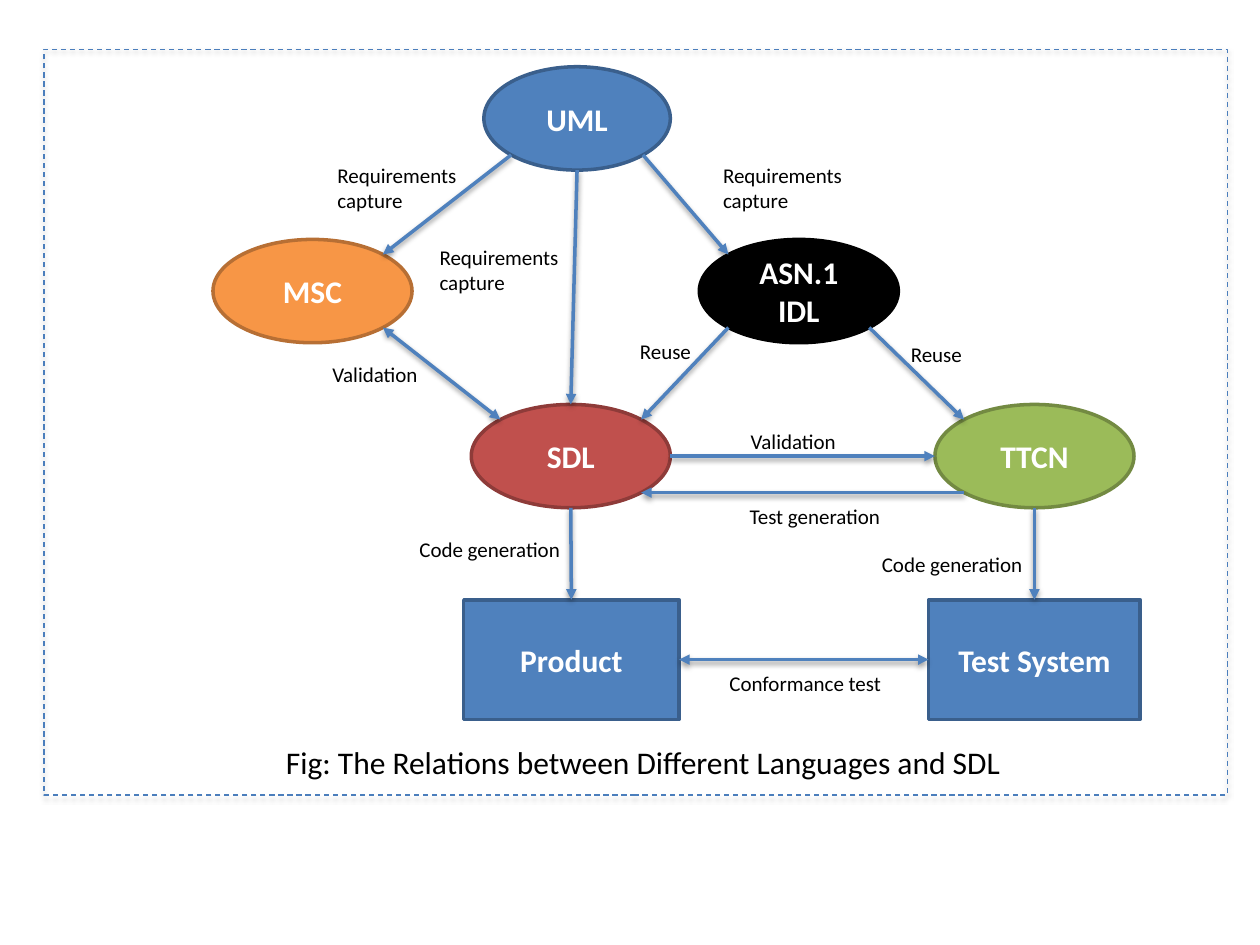
"""Build a slide showing how modelling and testing languages relate to SDL."""
import math

import lxml.etree
import pptx
import pptx.dml.color
import pptx.enum.dml
import pptx.enum.shapes
import pptx.enum.text
import pptx.oxml.ns
import pptx.util

Inches = pptx.util.Inches
Pt = pptx.util.Pt
RGBColor = pptx.dml.color.RGBColor
Shape = pptx.enum.shapes.MSO_SHAPE
Align = pptx.enum.text.PP_ALIGN
qn = pptx.oxml.ns.qn

BLUE = RGBColor(0x4F, 0x81, 0xBD)
BLUE_EDGE = RGBColor(0x3A, 0x5F, 0x8C)
FRAME_BLUE = RGBColor(0x4B, 0x7E, 0xBC)
ORANGE = RGBColor(0xF7, 0x96, 0x46)
ORANGE_EDGE = RGBColor(0xB7, 0x6F, 0x34)
RED = RGBColor(0xC0, 0x50, 0x4D)
RED_EDGE = RGBColor(0x8E, 0x3B, 0x39)
GREEN = RGBColor(0x9B, 0xBB, 0x59)
GREEN_EDGE = RGBColor(0x73, 0x8A, 0x42)
BLACK = RGBColor(0, 0, 0)
WHITE = RGBColor(0xFF, 0xFF, 0xFF)

LANGUAGES = {
    "UML": ("UML", 3.84, 0.53, 1.48, BLUE, BLUE_EDGE),
    "ASN.1": ("ASN.1\nIDL", 5.55, 1.9, 1.58, BLACK, BLACK),
    "MSC": ("MSC", 1.69, 1.9, 1.58, ORANGE, ORANGE_EDGE),
    "SDL": ("SDL", 3.74, 3.21, 1.58, RED, RED_EDGE),
    "TTCN": ("TTCN", 7.42, 3.21, 1.58, GREEN, GREEN_EDGE),
}
SYSTEMS = {"Product": (3.68, 1.71), "Test System": (7.37, 1.68)}

TOP, BOTTOM, LEFT, RIGHT = (0, -1), (0, 1), (-1, 0), (1, 0)
TOP_LEFT, TOP_RIGHT, BOTTOM_LEFT, BOTTOM_RIGHT = (-1, -1), (1, -1), (-1, 1), (1, 1)

RELATIONS = [
    ("UML", BOTTOM_LEFT, "MSC", TOP_RIGHT, False),
    ("UML", BOTTOM_RIGHT, "ASN.1", TOP_LEFT, False),
    ("UML", BOTTOM, "SDL", TOP, False),
    ("MSC", BOTTOM_RIGHT, "SDL", TOP_LEFT, True),
    ("ASN.1", BOTTOM_LEFT, "SDL", TOP_RIGHT, False),
    ("ASN.1", BOTTOM_RIGHT, "TTCN", TOP_LEFT, False),
    ("SDL", RIGHT, "TTCN", LEFT, False),
    ("TTCN", BOTTOM_LEFT, "SDL", BOTTOM_RIGHT, False),
    ("TTCN", BOTTOM, "Test System", TOP, False),
    ("Product", RIGHT, "Test System", LEFT, True),
    ("SDL", BOTTOM, "Product", TOP, False),
]

RELATION_LABELS = [
    ("Requirements capture", 2.58, 1.24, 0.5),
    ("Requirements capture", 5.64, 1.24, 0.5),
    ("Requirements capture", 3.39, 1.89, 0.5),
    ("Validation", 2.54, 2.82, 0.3),
    ("Reuse", 4.98, 2.64, 0.3),
    ("Reuse", 7.13, 2.66, 0.3),
    ("Validation", 5.86, 3.35, 0.3),
    ("Test generation", 5.85, 3.95, 0.3),
    ("Code generation", 6.9, 4.33, 0.3),
    ("Conformance test", 5.69, 5.27, 0.3),
    ("Code generation", 3.23, 4.21, 0.3),
]


def write(frame, text, *, size, color, font, bold=False, align=Align.LEFT):
    frame.word_wrap = True
    frame.text = text
    for paragraph in frame.paragraphs:
        paragraph.alignment = align
        paragraph.font.name = font
        paragraph.font.size = Pt(size)
        paragraph.font.bold = bold
        paragraph.font.color.rgb = color


def cast_shadow(element, distance, opacity):
    effects = lxml.etree.SubElement(element.spPr, qn("a:effectLst"))
    shadow = lxml.etree.SubElement(
        effects, qn("a:outerShdw"), blurRad=str(Pt(3.1)), dist=str(Pt(distance)),
        dir="5400000", rotWithShape="0")
    tint = lxml.etree.SubElement(shadow, qn("a:srgbClr"), val=str(BLACK))
    lxml.etree.SubElement(tint, qn("a:alpha"), val=str(opacity * 1000))


def edge_point(node, side):
    dx, dy = side
    reach = 1 / math.hypot(dx, dy)
    return (round(node.left + node.width / 2 * (1 + dx * reach)),
            round(node.top + node.height / 2 * (1 + dy * reach)))


class Diagram:
    font = "Calibri"
    line_width = Pt(2)

    def __init__(self, slide):
        self.slide = slide

    def node(self, kind, text, left, top, width, height, fill, edge):
        node = self.slide.shapes.add_shape(
            kind, Inches(left), Inches(top), Inches(width), Inches(height))
        node.shadow.inherit = False
        node.fill.solid()
        node.fill.fore_color.rgb = fill
        node.line.color.rgb = edge
        node.line.width = self.line_width
        node.text_frame.vertical_anchor = pptx.enum.text.MSO_ANCHOR.MIDDLE
        write(node.text_frame, text, size=18, color=WHITE, font=self.font,
              bold=True, align=Align.CENTER)
        return node

    def arrow(self, start, end, both_ways):
        arrow = self.slide.shapes.add_connector(
            pptx.enum.shapes.MSO_CONNECTOR.STRAIGHT, *start, *end)
        arrow.line.color.rgb = BLUE
        arrow.line.width = self.line_width
        outline = arrow.element.spPr.find(qn("a:ln"))
        for tip in ("a:headEnd", "a:tailEnd") if both_ways else ("a:tailEnd",):
            lxml.etree.SubElement(outline, qn(tip), type="triangle")
        cast_shadow(arrow.element, 1.6, 38)

    def label(self, text, left, top, width, height, size=12, align=Align.LEFT):
        label = self.slide.shapes.add_textbox(
            Inches(left), Inches(top), Inches(width), Inches(height))
        write(label.text_frame, text, size=size, color=BLACK, font=self.font, align=align)
        label.text_frame.auto_size = pptx.enum.text.MSO_AUTO_SIZE.SHAPE_TO_FIT_TEXT

    def frame(self, left, top, width, height):
        frame = self.slide.shapes.add_shape(
            Shape.RECTANGLE, Inches(left), Inches(top), Inches(width), Inches(height))
        frame.fill.background()
        frame.line.color.rgb = FRAME_BLUE
        frame.line.width = Pt(0.75)
        frame.line.dash_style = pptx.enum.dml.MSO_LINE.DASH
        cast_shadow(frame.element, 1.8, 35)


def main():
    deck = pptx.Presentation()
    deck.slide_width, deck.slide_height = Inches(10), Inches(7.5)
    diagram = Diagram(deck.slides.add_slide(deck.slide_layouts[6]))

    nodes = {}
    for name, (text, left, top, width, fill, edge) in LANGUAGES.items():
        nodes[name] = diagram.node(Shape.OVAL, text, left, top, width, 0.82, fill, edge)
    for name, (left, width) in SYSTEMS.items():
        nodes[name] = diagram.node(
            Shape.RECTANGLE, name, left, 4.76, width, 0.95, BLUE, BLUE_EDGE)

    for source, source_side, target, target_side, both_ways in RELATIONS:
        diagram.arrow(edge_point(nodes[source], source_side),
                      edge_point(nodes[target], target_side), both_ways)
    for text, left, top, height in RELATION_LABELS:
        diagram.label(text, left, top, 1.49, height)

    diagram.frame(0.35, 0.39, 9.39, 5.92)
    diagram.label("Fig: The Relations between Different Languages and SDL",
                  2.03, 5.85, 6.15, 0.4, size=18, align=Align.CENTER)
    deck.save("out.pptx")


if __name__ == "__main__":
    main()
